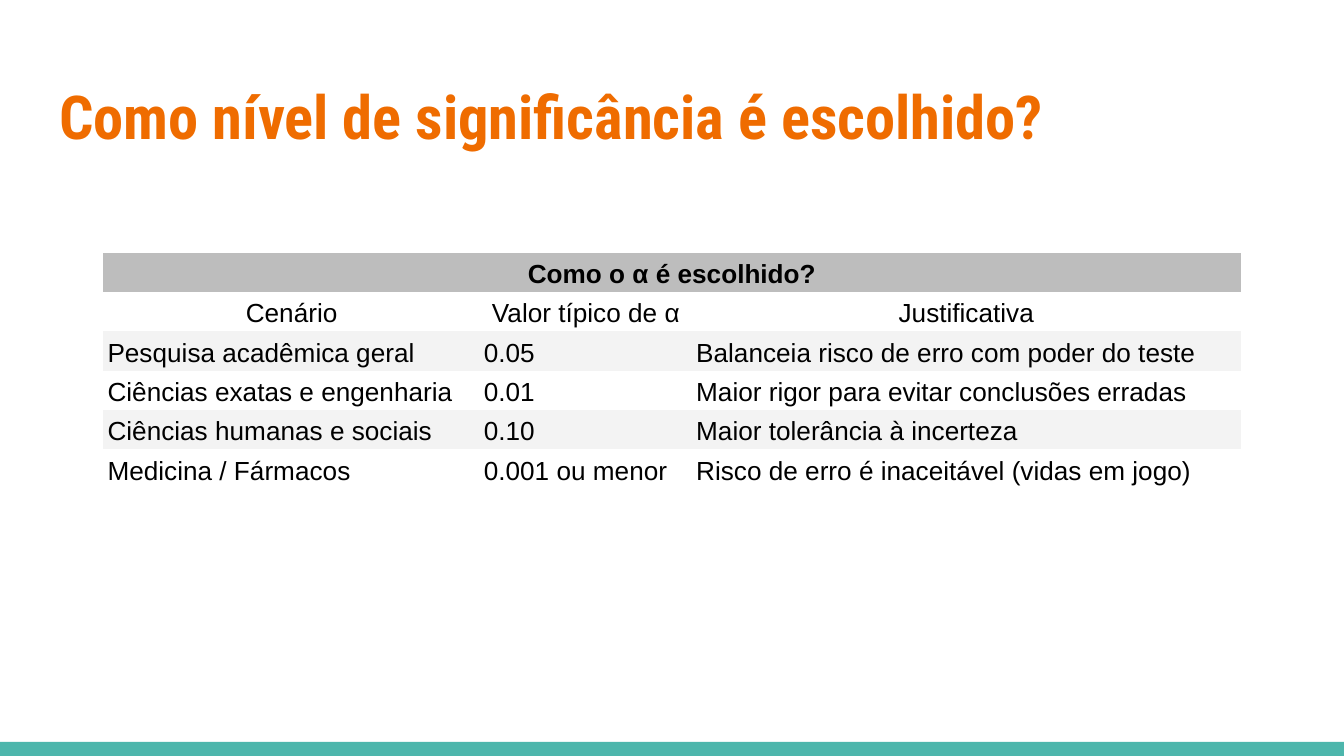
"""Build a slide with a table on how the significance level is chosen."""
import pptx
import pptx.dml.color
import pptx.enum.shapes
import pptx.enum.text
import pptx.oxml.ns
import pptx.util

Inches = pptx.util.Inches
Pt = pptx.util.Pt
RGBColor = pptx.dml.color.RGBColor
Align = pptx.enum.text.PP_ALIGN
Anchor = pptx.enum.text.MSO_ANCHOR

ORANGE = RGBColor(0xEF, 0x6C, 0x00)
TEAL = RGBColor(0x4D, 0xB6, 0xAC)
BLACK = RGBColor(0, 0, 0)
WHITE = RGBColor(0xFF, 0xFF, 0xFF)
GRAY = RGBColor(0xBD, 0xBD, 0xBD)
PALE_GRAY = RGBColor(0xF3, 0xF3, 0xF3)
PLAIN_STYLE = "{2D5ABB26-0587-4C30-8999-92F81FD0307C}"

TITLE = "Como nível de significância é escolhido?"
ROWS = [
    ["Como o α é escolhido?"],
    ["Cenário", "Valor típico de α", "Justificativa"],
    ["Pesquisa acadêmica geral", "0.05", "Balanceia risco de erro com poder do teste"],
    ["Ciências exatas e engenharia", "0.01", "Maior rigor para evitar conclusões erradas"],
    ["Ciências humanas e sociais", "0.10", "Maior tolerância à incerteza"],
    ["Medicina / Fármacos", "0.001 ou menor", "Risco de erro é inaceitável (vidas em jogo)"],
]
COLUMN_WIDTHS = [2.8, 1.58, 4.08]
ROW_HEIGHT = 0.27


def add_span(para, text, font, size, color, bold):
    span = para.add_run()
    span.text = text
    span.font.name = font
    span.font.size = Pt(size)
    span.font.color.rgb = color
    span.font.bold = bold


def add_bar(page):
    bar = page.shapes.add_shape(
        pptx.enum.shapes.MSO_SHAPE.RECTANGLE, Inches(0), Inches(5.52), Inches(10), Inches(0.11)
    )
    bar.shadow.inherit = False
    bar.fill.solid()
    bar.fill.fore_color.rgb = TEAL
    bar.line.fill.background()


def format_title(box):
    box.left, box.top, box.width, box.height = map(Inches, (0.34, 0.49, 9.32, 0.77))
    frame = box.text_frame
    frame.margin_left = frame.margin_right = frame.margin_top = frame.margin_bottom = Inches(0.1)
    frame.vertical_anchor = Anchor.TOP
    frame.auto_size = pptx.enum.text.MSO_AUTO_SIZE.NONE
    para = frame.paragraphs[0]
    para.alignment = Align.LEFT
    add_span(para, TITLE, "Roboto Condensed", 32.4, ORANGE, True)


def fill_cell(cell, text, row):
    cell.fill.solid()
    cell.fill.fore_color.rgb = GRAY if row == 0 else WHITE if row % 2 else PALE_GRAY
    cell.margin_left = cell.margin_right = Inches(0.03)
    cell.margin_top = cell.margin_bottom = Pt(1.5)
    cell.vertical_anchor = Anchor.BOTTOM
    para = cell.text_frame.paragraphs[0]
    para.alignment = Align.CENTER if row < 2 else Align.LEFT
    para.line_spacing = 1.15
    add_span(para, text, "Arial", 14, BLACK, row == 0)


def add_scenarios(page):
    table = page.shapes.add_table(
        len(ROWS), len(COLUMN_WIDTHS), Inches(0.77), Inches(1.88),
        Inches(sum(COLUMN_WIDTHS)), Inches(ROW_HEIGHT * len(ROWS)),
    ).table
    table.first_row = table.horz_banding = False
    table._tbl.tblPr.find(pptx.oxml.ns.qn("a:tableStyleId")).text = PLAIN_STYLE
    for column, width in zip(table.columns, COLUMN_WIDTHS):
        column.width = Inches(width)
    table.cell(0, 0).merge(table.cell(0, len(COLUMN_WIDTHS) - 1))
    for row, texts in enumerate(ROWS):
        table.rows[row].height = Inches(ROW_HEIGHT)
        for column, text in enumerate(texts):
            fill_cell(table.cell(row, column), text, row)


def main():
    deck = pptx.Presentation()
    deck.slide_width = Inches(10)
    deck.slide_height = deck.slide_width * 9 // 16
    page = deck.slides.add_slide(deck.slide_layouts[5])
    page.background.fill.solid()
    page.background.fill.fore_color.rgb = WHITE
    add_bar(page)
    format_title(page.shapes.title)
    add_scenarios(page)
    deck.save("out.pptx")


if __name__ == "__main__":
    main()
